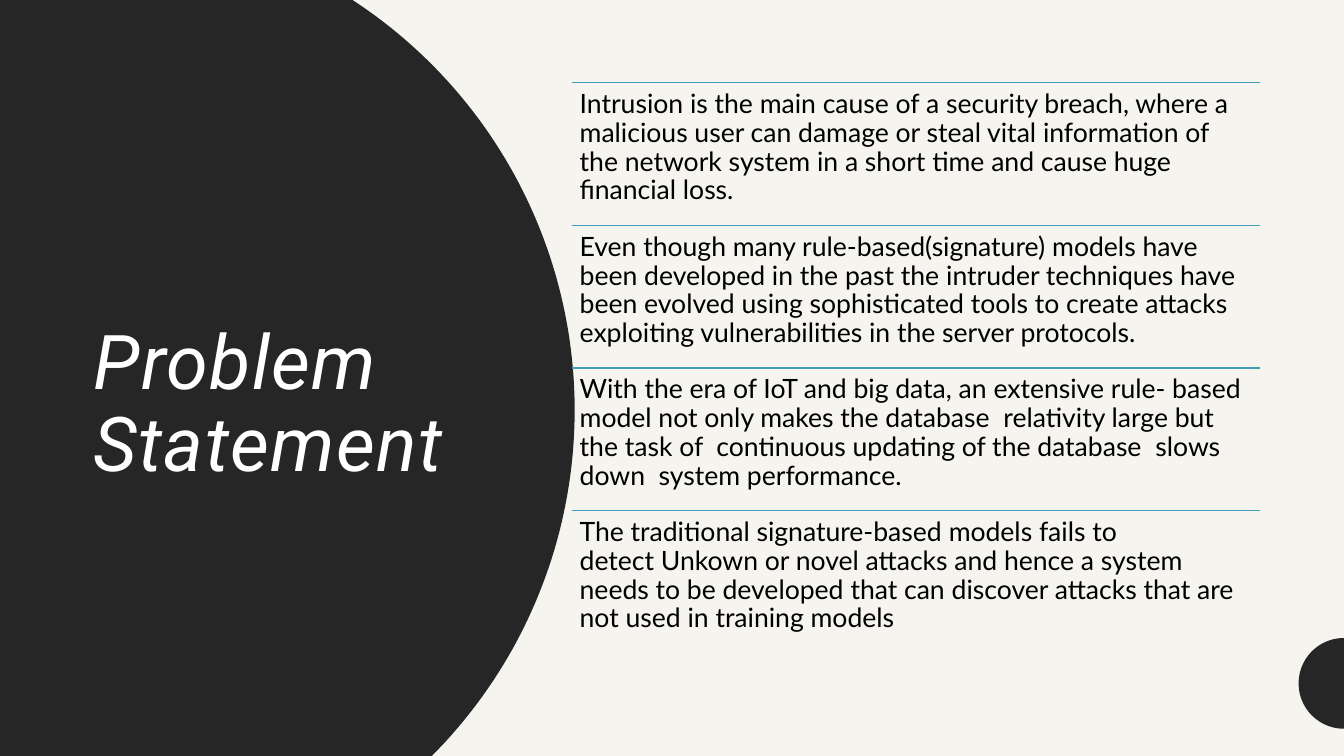
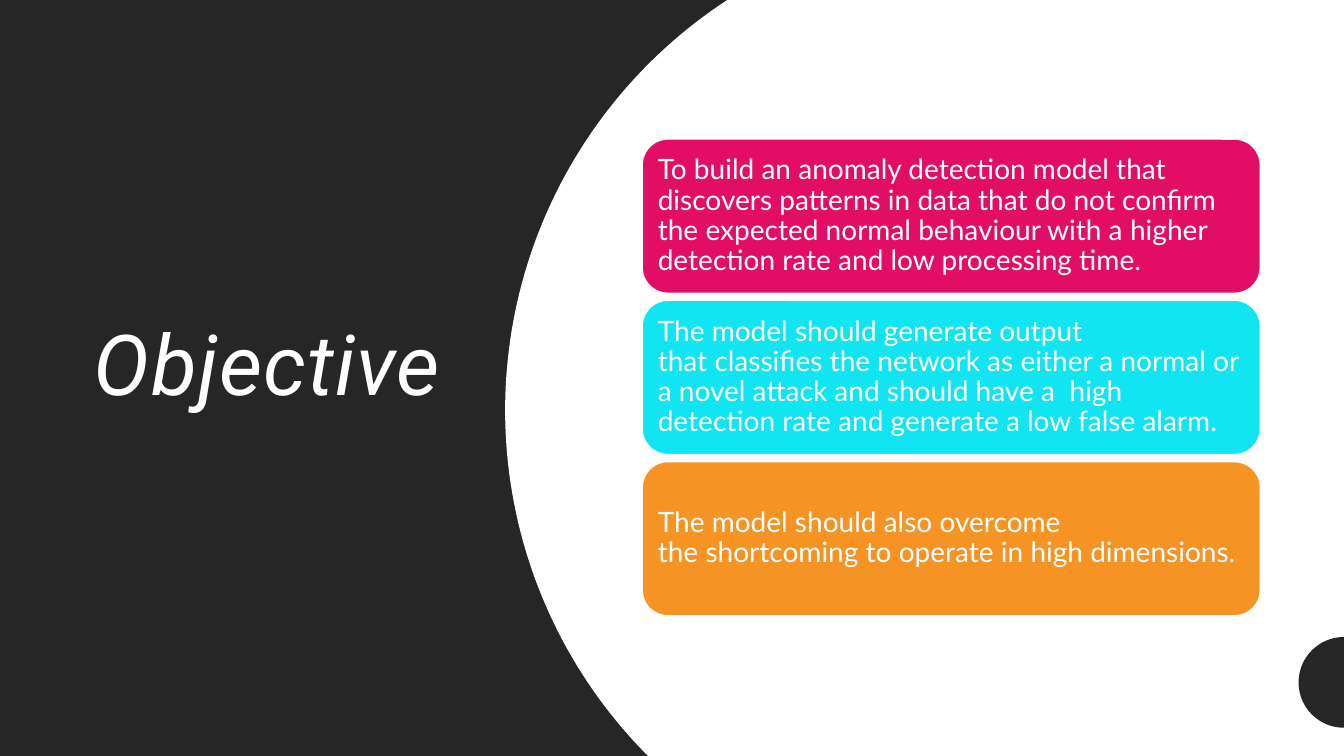
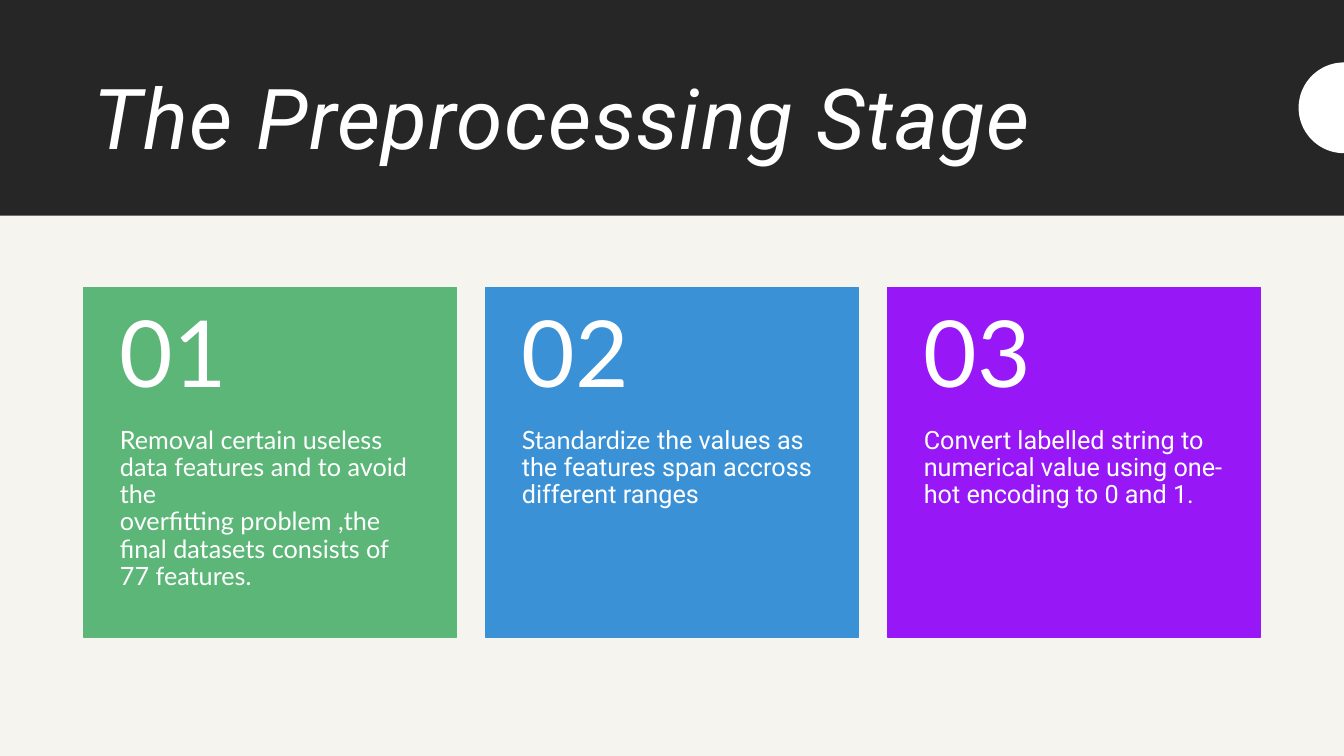
import math
from dataclasses import dataclass
from typing import Any

from lxml import etree
from pptx import Presentation
from pptx.dml.color import RGBColor
from pptx.enum import shapes, text
from pptx.oxml.ns import qn
from pptx.slide import Slide
from pptx.util import Inches, Pt


@dataclass(frozen=True)
class Theme:
    dark: str = "262626"
    paper: str = "F6F4EF"
    white: str = "FFFFFF"
    black: str = "000000"
    rule: str = "439EB7"
    title_font: str = "Roboto"
    body_font: str = "Lato"
    title_size: int = 60
    title_small: int = 54
    number_size: int = 66
    objective_size: int = 20
    problem_size: int = 19
    card_size: int = 18
    leading: float = 0.9


@dataclass(frozen=True)
class Box:
    x: float
    y: float
    w: float
    h: float

    def emu(self) -> list[int]:
        return [Inches(v) for v in (self.x, self.y, self.w, self.h)]


@dataclass(frozen=True)
class Arc:
    cx: float
    cy: float
    r: float
    start: float
    end: float

    def points(self, steps: int = 90) -> list[tuple[float, float]]:
        angles = [self.start + (self.end - self.start) * i / steps for i in range(steps + 1)]
        return [(self.cx + self.r * math.cos(a), self.cy + self.r * math.sin(a)) for a in angles]


@dataclass(frozen=True)
class Span:
    words: str
    font: str


@dataclass(frozen=True)
class Card:
    spans: list[Span]
    fill: str


T = Theme()
TIE, HARD_SPACE = "~", chr(160)
W, H = 13.33, 7.5
LEFT, RIGHT = 0.83, 12.5
CURVE_R, CURVE_Y = 4.86, 4.07
CURVE_TOP = math.asin(CURVE_Y / CURVE_R)
CURVE_BOTTOM = math.asin((H - CURVE_Y) / CURVE_R)
TOP, MIDDLE, BOTTOM = text.MSO_ANCHOR.TOP, text.MSO_ANCHOR.MIDDLE, text.MSO_ANCHOR.BOTTOM

PROBLEMS = [
    "Intrusion is the main cause of a security breach, where a malicious user can damage or steal "
    "vital information of the network system in a short time and cause huge financial loss.",
    "Even though many rule-based(signature)~models have been developed in the past the~intruder "
    "techniques have been evolved~using sophisticated tools to create attacks exploiting "
    "vulnerabilities in the server protocols.",
    "With the era of IoT and big data, an extensive rule- based model not only makes the database~ "
    "relativity large but the task of~ continuous updating of the database~ slows down~ system "
    "performance.",
    "The traditional signature-based~models fails to detect~Unkown or novel attacks and hence a "
    "system needs to be developed~that can~discover~attacks that are not~used in training models",
]
OBJECTIVES = [
    Card([Span("To build an anomaly detection model that discovers~patterns in data that do not "
               "confirm the~expected normal behaviour with a~higher detection rate and low "
               "processing time.", T.body_font)], "E20E65"),
    Card([Span("The model~should generate output that~classifies~the network as~either~a normal "
               "or a novel attack and should have a~ high detection rate and generate a low false "
               "alarm.", T.body_font)], "12E5F2"),
    Card([Span("The model should also overcome the~shortcoming~to operate in high dimensions.",
               T.body_font)], "F59324"),
]
STAGES = [
    Card([Span("Removal certain useless data features and to avoid the overfitting~problem ,the "
               "final datasets consists of 77 features.", T.body_font)], "5CB678"),
    Card([Span("Standardize~", T.body_font),
          Span("the values~as the features~span accross different~ranges", T.title_font)], "3A91D6"),
    Card([Span("Convert~labelled string to numerical value~using one-hot encoding~to 0 and 1.",
               T.title_font)], "9717F7"),
]


def rgb(color: str) -> RGBColor:
    return RGBColor.from_string(color)


def apply(obj: Any, fmt: dict[str, Any]) -> None:
    for name, value in fmt.items():
        setattr(obj, name, value)


def paint(sp: Any, fill: str, line: str | None = None) -> None:
    sp.shadow.inherit = False
    sp.fill.solid()
    sp.fill.fore_color.rgb = rgb(fill)
    if line:
        sp.line.color.rgb = rgb(line)
        sp.line.width = Pt(1)
    else:
        sp.line.fill.background()


def write(sp: Any, spans: list[Span], size: int, color: str, anchor: Any,
          insets: tuple[float, float, float, float], italic: bool = False) -> None:
    tf = sp.text_frame
    margins = ("margin_left", "margin_top", "margin_right", "margin_bottom")
    apply(tf, {"word_wrap": True, "auto_size": text.MSO_AUTO_SIZE.NONE, "vertical_anchor": anchor,
               **{m: Inches(v) for m, v in zip(margins, insets)}})
    p = tf.paragraphs[0]
    apply(p, {"alignment": text.PP_ALIGN.LEFT, "line_spacing": T.leading})
    for span in spans:
        r = p.add_run()
        r.text = span.words.replace(TIE, HARD_SPACE)
        apply(r.font, {"name": span.font, "size": Pt(size), "italic": italic})
        r.font.color.rgb = rgb(color)


def add_slide(prs: Any, color: str) -> Slide:
    s = prs.slides.add_slide(prs.slide_layouts[5])
    s.background.fill.solid()
    s.background.fill.fore_color.rgb = rgb(color)
    return s


def add_title(s: Slide, words: str, box: Box, size: int, anchor: Any) -> None:
    sp = s.shapes.title
    s.shapes.element.append(sp.element)
    apply(sp, dict(zip(("left", "top", "width", "height"), box.emu())))
    write(sp, [Span(words, T.title_font)], size, T.white, anchor, (0.1, 0.05, 0.1, 0.05), True)
    for r in sp.text_frame.paragraphs[0].runs:
        r.font._element.set("spc", "100")


def add_arc(s: Slide, arc: Arc, color: str, corners: list[tuple[float, float]]) -> None:
    pts = [(Inches(x), Inches(y)) for x, y in arc.points() + corners]
    fb = s.shapes.build_freeform(*pts[0])
    fb.add_line_segments(pts[1:], close=True)
    paint(fb.convert_to_shape(), color)


def add_edge_dot(s: Slide, cy: float, color: str) -> None:
    add_arc(s, Arc(W, cy, 0.45, math.pi / 2, math.pi * 1.5), color, [])


def add_shape(s: Slide, kind: Any, box: Box, fill: str, line: str | None = None) -> Any:
    sp = s.shapes.add_shape(kind, *box.emu())
    paint(sp, fill, line)
    return sp


def add_rule(s: Slide, x1: float, x2: float, y: float) -> None:
    c = s.shapes.add_connector(shapes.MSO_CONNECTOR.STRAIGHT,
                               Inches(x1), Inches(y), Inches(x2), Inches(y))
    c.line.color.rgb = rgb(T.rule)
    c.line.width = Pt(1)
    etree.SubElement(c.element.spPr, qn("a:effectLst"))


def problem_slide(prs: Any) -> None:
    s = add_slide(prs, T.paper)
    add_arc(s, Arc(0.84, CURVE_Y, CURVE_R, -CURVE_TOP, CURVE_BOTTOM), T.dark, [(0, H), (0, 0)])
    add_title(s, "Problem Statement", Box(LEFT, 1.23, 3.77, 3.66), T.title_small, BOTTOM)
    add_edge_dot(s, 6.78, T.dark)
    x, top, bottom = 5.67, 0.82, 6.48
    row = (bottom - top) / len(PROBLEMS)
    for i, words in enumerate(PROBLEMS):
        y = top + i * row
        add_rule(s, x, RIGHT, y)
        tb = s.shapes.add_textbox(*Box(x, y, RIGHT - x, row).emu())
        write(tb, [Span(words, T.body_font)], T.problem_size, T.black, TOP, (0.08,) * 4)


def objective_slide(prs: Any) -> None:
    s = add_slide(prs, T.dark)
    add_title(s, "Objective", Box(LEFT, 1.16, 3.7, 4.99), T.title_size, MIDDLE)
    add_arc(s, Arc(9.87, CURVE_Y, CURVE_R, math.pi + CURVE_TOP, math.pi - CURVE_BOTTOM),
            T.white, [(W, H), (W, 0)])
    add_edge_dot(s, 6.77, T.dark)
    x, top, height, gap = 6.37, 1.38, 1.53, 0.07
    for i, card in enumerate(OBJECTIVES):
        box = Box(x, top + i * (height + gap), RIGHT - x, height)
        sp = add_shape(s, shapes.MSO_SHAPE.ROUNDED_RECTANGLE, box, card.fill, T.white)
        write(sp, card.spans, T.objective_size, T.white, MIDDLE, (0.08,) * 4)


def preprocessing_slide(prs: Any) -> None:
    s = add_slide(prs, T.paper)
    add_shape(s, shapes.MSO_SHAPE.RECTANGLE, Box(0, 0, W, 2.14), T.dark)
    add_title(s, "The Preprocessing Stage", Box(LEFT, 0.46, RIGHT - LEFT, 1.5), T.title_size, MIDDLE)
    add_edge_dot(s, 1.07, T.white)
    top, height, head, gap, pad = 2.85, 3.47, 1.39, 0.29, 0.36
    width = (RIGHT - LEFT - gap * (len(STAGES) - 1)) / len(STAGES)
    for i, card in enumerate(STAGES):
        x = LEFT + i * (width + gap)
        sp = add_shape(s, shapes.MSO_SHAPE.RECTANGLE, Box(x, top, width, height), card.fill, card.fill)
        write(sp, card.spans, T.card_size, T.white, TOP, (pad, head, pad, pad))
        tb = s.shapes.add_textbox(*Box(x, top, width, head).emu())
        write(tb, [Span(f"{i + 1:02d}", T.body_font)], T.number_size, T.white, MIDDLE,
              (pad, pad / 2, pad, pad / 2))


def main() -> None:
    prs = Presentation()
    apply(prs, {"slide_width": Inches(W), "slide_height": Inches(H)})
    problem_slide(prs)
    objective_slide(prs)
    preprocessing_slide(prs)
    prs.save("out.pptx")


if __name__ == "__main__":
    main()
